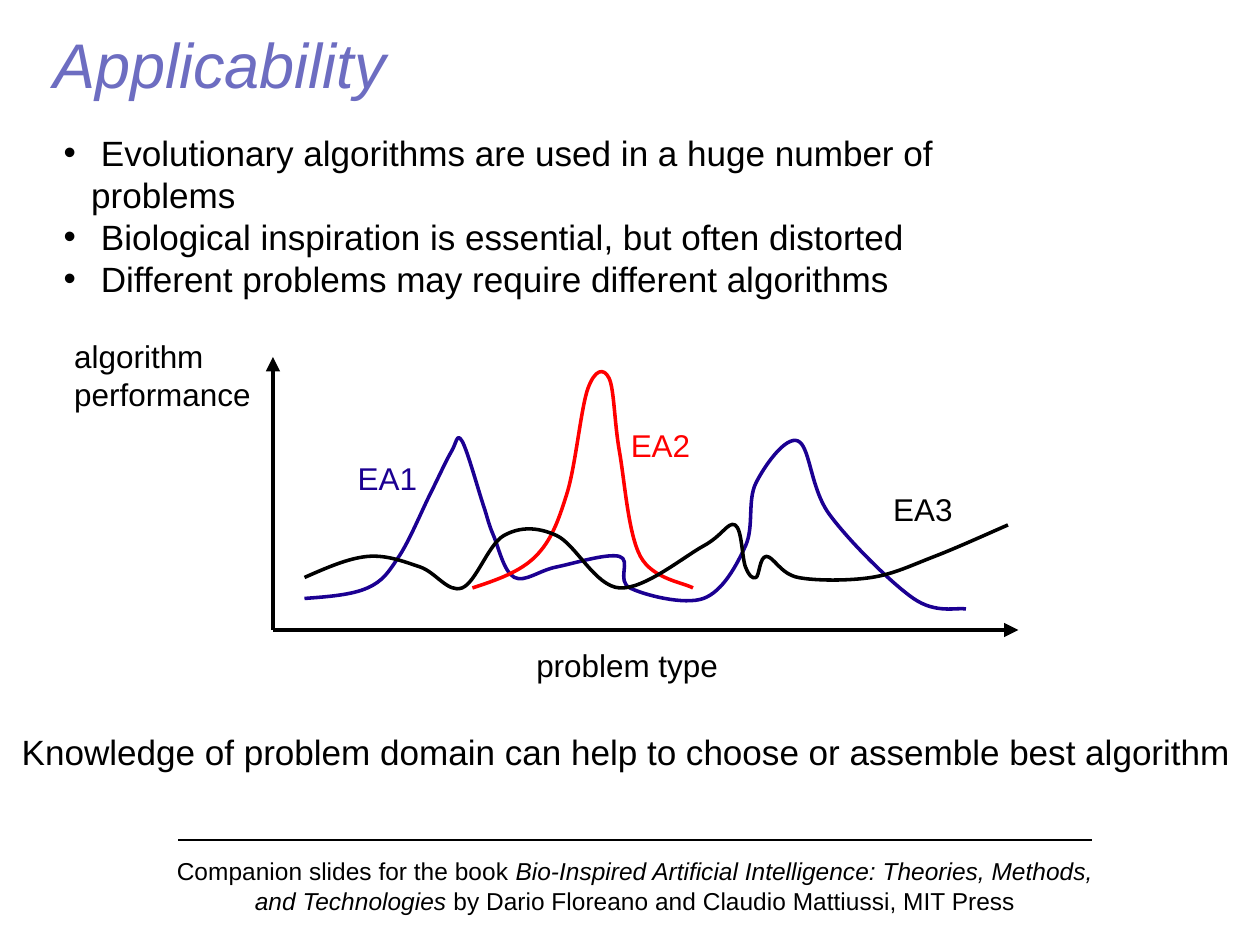
from lxml.etree import SubElement
from pptx import Presentation
from pptx.dml.color import RGBColor
from pptx.enum.shapes import MSO_CONNECTOR
from pptx.enum.text import MSO_ANCHOR, PP_ALIGN
from pptx.oxml.ns import qn
from pptx.util import Cm, Inches, Pt

SLIDE_WIDTH, SLIDE_HEIGHT = Cm(28), Cm(21)
COLUMN, ROW = SLIDE_WIDTH / 120, SLIDE_HEIGHT / 90
FONT = "Arial"
BODY_SIZE, LABEL_SIZE = 22.1, 19.8
BLACK = RGBColor(0x00, 0x00, 0x00)
LILAC = RGBColor(0x6D, 0x6D, 0xC1)
BLUE = RGBColor(0x1B, 0x00, 0x92)
RED = RGBColor(0xFF, 0x00, 0x00)

EA1_KNOTS = [(3, 3), (9, 4), (12, 7), (15, 13), (17, 17), (18, 18), (20, 12),
             (21, 9), (23, 5), (27, 6), (33, 7), (34, 4), (41, 3), (45, 8),
             (46, 14), (50, 18), (53, 11), (61, 3), (66, 2)]
EA2_KNOTS = [(19, 4), (25, 7), (28, 13), (30, 23), (32, 24), (33, 17), (35, 7), (40, 4)]
EA3_KNOTS = [(3, 5), (9, 7), (14, 6), (18, 4), (22, 9), (27, 9), (33, 4), (41, 8),
             (44, 10), (45, 6), (46, 5), (47, 7), (50, 5), (57, 5), (63, 7), (70, 10)]


def grid_point(column, row):
    return round(column * COLUMN), round(row * ROW)


def add_text(slide, box, paragraphs, size, color, wrap=True, align=PP_ALIGN.LEFT,
             anchor=MSO_ANCHOR.TOP, bullet=False):
    left, top, width, height = box
    shape = slide.shapes.add_textbox(*grid_point(left, top), *grid_point(width, height))
    frame = shape.text_frame
    frame.word_wrap = wrap
    frame.vertical_anchor = anchor
    for index, runs in enumerate(paragraphs):
        paragraph = frame.paragraphs[0] if index == 0 else frame.add_paragraph()
        paragraph.alignment = align
        if bullet:
            add_bullet(paragraph)
        for text, italic in runs:
            run = paragraph.add_run()
            run.text = text
            run.font.name = FONT
            run.font.size = Pt(size)
            run.font.italic = italic
            run.font.color.rgb = color


def add_bullet(paragraph):
    properties = paragraph._p.get_or_add_pPr()
    indent = Inches(0.24)
    properties.set("marL", str(indent))
    properties.set("indent", str(-indent))
    SubElement(properties, qn("a:buFont")).set("typeface", FONT)
    SubElement(properties, qn("a:buChar")).set("char", "•")


def add_line(slide, start, end, width, arrow=False):
    connector = slide.shapes.add_connector(
        MSO_CONNECTOR.STRAIGHT, *grid_point(*start), *grid_point(*end))
    connector.line.color.rgb = BLACK
    connector.line.width = Pt(width)
    if arrow:
        SubElement(connector.line._get_or_add_ln(), qn("a:tailEnd")).set("type", "triangle")
    SubElement(connector._element.spPr, qn("a:effectLst"))


def bezier_points(knots):
    def shifted(point, before, after, sign):
        return tuple(p + sign * (b - a) / 6 for p, a, b in zip(point, before, after))

    points = []
    for index in range(len(knots) - 1):
        start, end = knots[index:index + 2]
        after = knots[min(index + 2, len(knots) - 1)]
        incoming = shifted(end, start, after, -1)
        if index == 0:
            outgoing = tuple((a + b) / 2 for a, b in zip(start, incoming))
        else:
            outgoing = shifted(start, knots[index - 1], end, 1)
        points += [outgoing, incoming, end]
    return points


def add_curve(slide, knots, color):
    builder = slide.shapes.build_freeform(*grid_point(*knots[0]), scale=1.0)
    builder.add_line_segments([grid_point(*p) for p in bezier_points(knots)], close=False)
    curve = builder.convert_to_shape()
    curve.shadow.inherit = False
    curve.fill.background()
    curve.line.color.rgb = color
    curve.line.width = Pt(2.25)
    segments = list(curve._element.iter(qn("a:lnTo")))
    for first in range(0, len(segments), 3):
        triple = segments[first:first + 3]
        bezier = SubElement(triple[0].getparent(), qn("a:cubicBezTo"))
        for segment in triple:
            bezier.append(segment[0])
            segment.getparent().remove(segment)


def add_footer(slide, box):
    left, top, width, height = box
    add_line(slide, (left + 2, top), (left + width - 2, top), 0.75)
    runs = [("Companion slides for the book ", False),
            ("Bio-Inspired Artificial Intelligence: Theories, Methods, and Technologies", True),
            (" by Dario Floreano and Claudio Mattiussi, MIT Press", False)]
    add_text(slide, (left, top + 1, width, height - 1), [runs], 15.45, BLACK,
             align=PP_ALIGN.CENTER)


def add_heading(slide, box):
    add_text(slide, box, [[("Applicability", True)]], 39.7, LILAC, anchor=MSO_ANCHOR.MIDDLE)


def add_points(slide, box):
    points = [" Evolutionary algorithms are used in a huge number of problems",
              " Biological inspiration is essential, but often distorted",
              " Different problems may require different algorithms"]
    add_text(slide, box, [[(point, False)] for point in points], BODY_SIZE, BLACK, bullet=True)


def add_conclusion(slide, box):
    text = "Knowledge of problem domain can help to choose or assemble best algorithm"
    add_text(slide, box, [[(text, False)]], BODY_SIZE, BLACK, wrap=False)


def add_performance_plot(slide, box):
    left, top, width, height = box
    base = top + height
    for end in [(left, top), (left + width, base)]:
        add_line(slide, (left, base), end, 3, arrow=True)
    for knots, color in [(EA1_KNOTS, BLUE), (EA2_KNOTS, RED), (EA3_KNOTS, BLACK)]:
        add_curve(slide, [(left + x, base - y) for x, y in knots], color)
    labels = [(["EA1"], 7, 16.85, 8, BLUE),
              (["EA2"], 33, 20, 8, RED),
              (["EA3"], 58, 13.85, 8, BLACK),
              (["algorithm", "performance"], -20, 28.45, 19.2, BLACK),
              (["problem type"], 24, -0.95, 19.7, BLACK)]
    for lines, x, y, label_width, color in labels:
        add_text(slide, (left + x, base - y, label_width, 1.1 + 3.65 * len(lines)),
                 [[(line, False)] for line in lines], LABEL_SIZE, color, wrap=False)


def main():
    presentation = Presentation()
    presentation.slide_width, presentation.slide_height = SLIDE_WIDTH, SLIDE_HEIGHT
    slide = presentation.slides.add_slide(presentation.slide_layouts[6])
    add_footer(slide, (15, 80, 91, 7.8))
    add_heading(slide, (4, 3, 114, 6))
    add_points(slide, (5, 11.95, 99, 13.2))
    add_conclusion(slide, (1, 69, 118.1, 5.1))
    add_performance_plot(slide, (26, 34, 71, 26))
    presentation.save("out.pptx")


if __name__ == "__main__":
    main()
